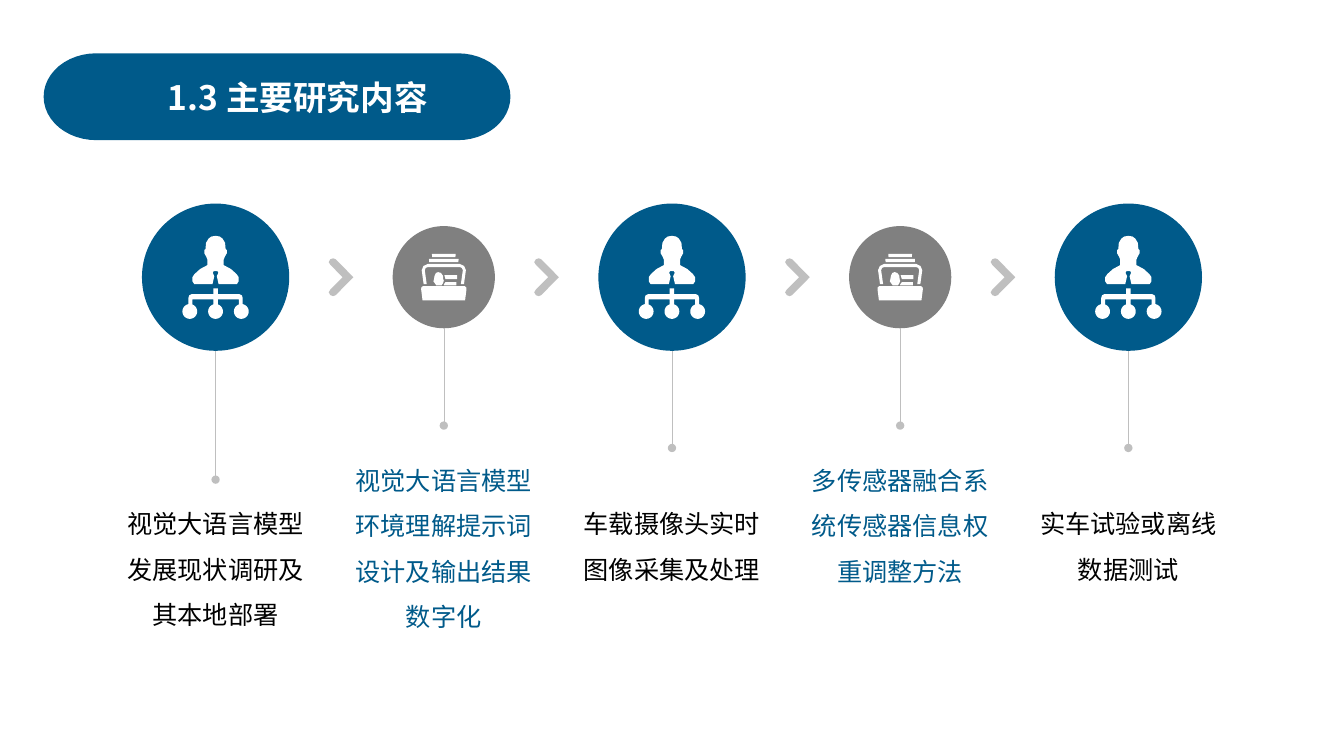
import math
import pptx
import pptx.util
import pptx.dml.color
import pptx.enum.shapes
import pptx.enum.text
import pptx.oxml
import pptx.oxml.ns

Pt = pptx.util.Pt
Enum = pptx.enum.text
Form = pptx.enum.shapes
FONT = "Noto Sans CJK SC"
BLUE, GRAY, PALE, WHITE, BLACK = "005A8A", "808080", "BFBFBF", "FFFFFF", "000000"
SPACE = pptx.oxml.ns.nsdecls("a")


def paint(part, code):
    part.solid()
    part.fore_color.rgb = pptx.dml.color.RGBColor.from_string(code)


def write(frame, text, size=18, color=BLACK, bold=False, align="LEFT", line=1, after=0):
    para = frame.paragraphs[0]
    para.alignment = getattr(Enum.PP_ALIGN, align)
    para.line_spacing = line
    para.space_before = Pt(0)
    para.space_after = Pt(after)
    run = para.add_run()
    run.text = text
    run.font.size = Pt(size)
    run.font.bold = bold
    run.font.name = FONT
    paint(run.font.fill, color)
    east = pptx.oxml.parse_xml(f'<a:ea {SPACE} typeface="{FONT}"/>')
    run.font._element.get_or_add_latin().addnext(east)


deck = pptx.Presentation()
deck.slide_width = Pt(960)
deck.slide_height = Pt(540)
slide = deck.slides.add_slide(deck.slide_layouts[5])
shapes = slide.shapes

title = shapes.title
title.left, title.top, title.width, title.height = Pt(107.3), Pt(51), Pt(240), Pt(36)
frame = title.text_frame
frame.word_wrap = True
frame.auto_size = Enum.MSO_AUTO_SIZE.NONE
frame.vertical_anchor = Enum.MSO_ANCHOR.MIDDLE
frame.margin_left = Pt(12.6)
frame.margin_right = Pt(0)
write(frame, "1.3 主要研究内容", size=24, color=WHITE, bold=True)

halves = {
    "bust": [(0, -29.5), (3, -29), (5, -27.5), (6.8, -24.5), (7.2, -20), (8, -19.4),
             (8, -17), (6.6, -14.5), (5.8, -12.5), (5.8, -8.6), (11, -5.8), (15, -2.2),
             (16.5, 0), (16.5, 3), (15.2, 5), (2.2, 5), (0.9, -0.7), (2, -3),
             (1.4, -4.2), (0, -4.4)],
    "tree": [(1.6, 8), (1.6, 12.2), (17.2, 12.2), (18.8, 13), (19.4, 15), (19.4, 19.3),
             (16.6, 19.3), (16.6, 15.8), (1.6, 15.8), (1.6, 19.3)],
    "tray": [(15, 6.5), (16, 7.2), (16.2, 8.6), (15.2, 16.6)],
    "lid": [(0, -9.4), (11.5, -9.4), (14.5, -8), (15.8, -5), (14.4, 5), (12.2, 5),
            (13.6, -5), (12.9, -6.6), (11.5, -7.2), (0, -7.2)],
    "sheet": [(10.6, -13), (10.4, -10.8)],
    "back": [(8.5, -16.6), (8.3, -14.4)],
}
whole = {name: half + [(-x, y) for x, y in reversed(half)] for name, half in halves.items()}

turns = [math.tau * k / 24 for k in range(24)]
person = [whole["bust"], whole["tree"]]
for mid in (-18.4, 0, 18.4):
    person.append([(mid + 5.3 * math.cos(t), 24.5 + 5.3 * math.sin(t)) for t in turns])
card = [whole[name] for name in ("tray", "lid", "sheet", "back")]
card += [
    [(0.4, -1.4), (9.5, -1.4), (9.5, 1.4), (1.2, 1.4)],
    [(1.2, 3.6), (9, 3.6), (9, 5.8), (0, 5.8), (0, 5.2)],
    [(-4, -3.6), (-2, -3), (-0.6, -1), (-0.4, 1.4), (0, 2.6), (-0.6, 4.3), (-1.6, 5.8),
     (-5.4, 5.8), (-6.4, 4.3), (-7.4, 3), (-7, 1.4), (-6.6, -1), (-5.6, -3)],
]
upper = [(10, 0), (1.2, -8.8), (0, -10.8), (1.2, -12.8), (3.2, -13.5), (5, -12.8), (17.6, 0)]
arrow = [upper + [(x, -y) for x, y in reversed(upper[1:-1])]]
bends = [math.pi * (k / 24 - 0.5) for k in range(25)]
right = [(129.2 + 36 * math.cos(t), 29.5 * math.sin(t)) for t in bends]
pill = [right + [(-x, y) for x, y in reversed(right)]]

steps = [
    ("视觉大语言模型发展现状调研及其本地部署", 342.6, 102),
    ("视觉大语言模型环境理解提示词设计及输出结果数字化", 304, 135),
    ("车载摄像头实时图像采集及处理", 320, 69),
    ("多传感器融合系统传感器信息权重调整方法", 304, 102),
    ("实车试验或离线数据测试", 320, 69),
]
row = 198
outlines = [(pill, 197.9, 69.1, BLUE)]
for i, (text, end, tall) in enumerate(steps):
    mid = 154 + 163 * i
    small = i % 2 == 1
    radius = 36.5 if small else 52.6
    disc = shapes.add_shape(Form.MSO_SHAPE.OVAL, Pt(mid - radius), Pt(row - radius),
                            Pt(2 * radius), Pt(2 * radius))
    disc.shadow.inherit = False
    paint(disc.fill, GRAY if small else BLUE)
    disc.line.fill.background()
    outlines.append((card if small else person, mid, row, WHITE))
    if i < len(steps) - 1:
        outlines.append((arrow, mid + (64.6 if small else 80.8), row, PALE))

    stem = shapes.add_connector(Form.MSO_CONNECTOR.STRAIGHT, Pt(mid), Pt(row + radius),
                                Pt(mid), Pt(end))
    paint(stem.line.fill, PALE)
    stem.line.width = Pt(0.25)
    stem.line._get_or_add_ln().append(pptx.oxml.parse_xml(f'<a:tailEnd {SPACE} type="oval"/>'))
    stem._element.spPr.append(pptx.oxml.parse_xml(f"<a:effectLst {SPACE}/>"))

    box = shapes.add_textbox(Pt(mid - 73.5), Pt(318 if small else 349), Pt(147), Pt(tall))
    box.text_frame.word_wrap = True
    box.text_frame.auto_size = Enum.MSO_AUTO_SIZE.SHAPE_TO_FIT_TEXT
    write(box.text_frame, text, color=BLUE if small else BLACK, align="CENTER",
          line=1.5, after=6)

for loops, left, top, color in outlines:
    build = None
    for loop in loops:
        spots = [(Pt(left + x), Pt(top + y)) for x, y in loop]
        if build is None:
            build = shapes.build_freeform(*spots[0])
        else:
            build.move_to(*spots[0])
        build.add_line_segments(spots[1:], close=True)
    shape = build.convert_to_shape()
    shape.shadow.inherit = False
    paint(shape.fill, color)
    if loops is pill:
        paint(shape.line.fill, color)
        shape.line.width = Pt(3)
        title._element.addprevious(shape._element)
    else:
        shape.line.fill.background()

deck.save("out.pptx")
